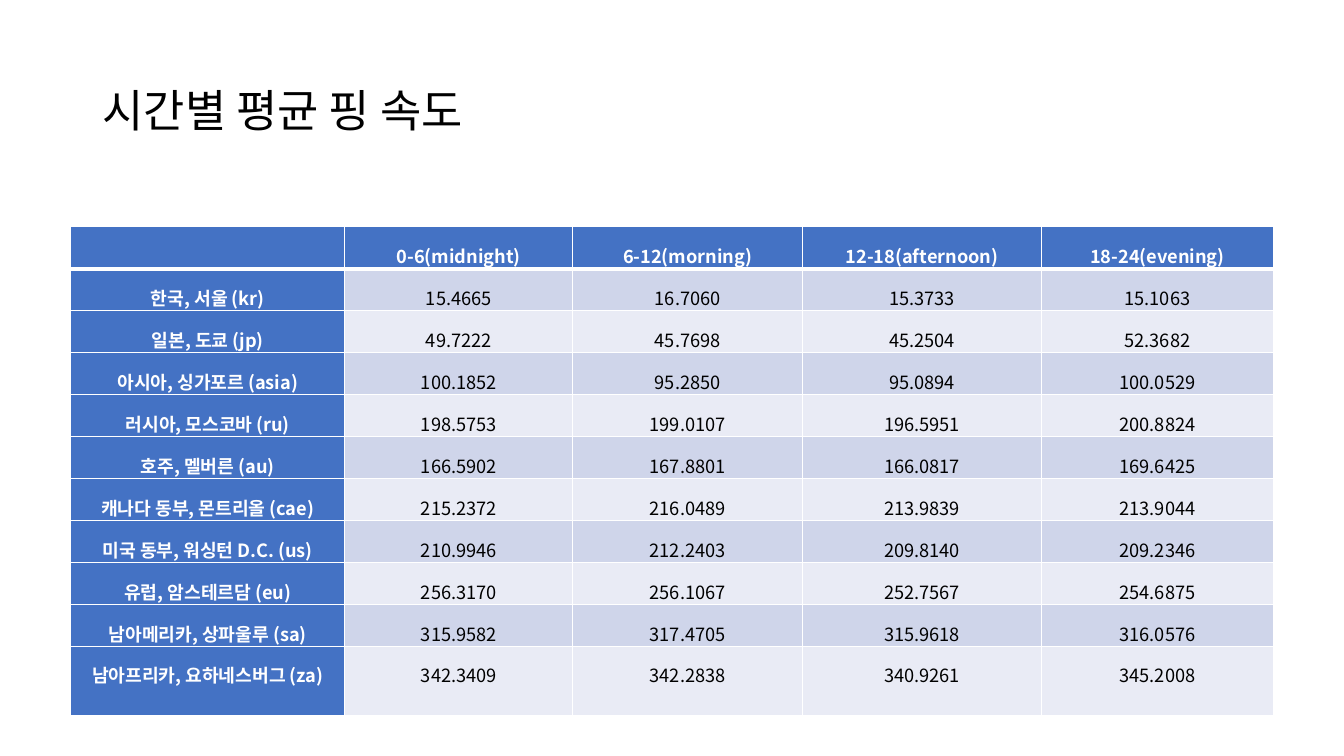
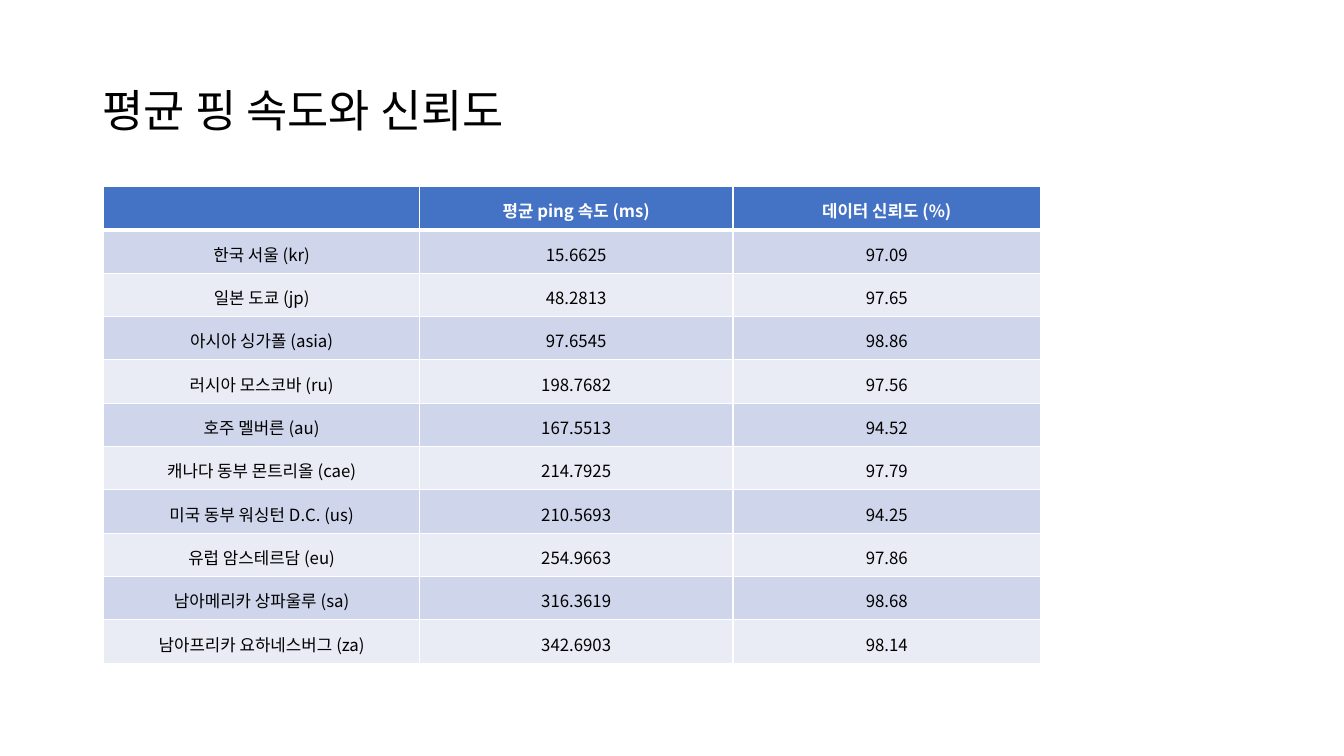
from dataclasses import dataclass
from itertools import chain

from lxml.etree import SubElement
from pptx import Presentation
from pptx.dml.color import RGBColor
from pptx.enum.text import MSO_ANCHOR as Anchor, PP_ALIGN as Align
from pptx.oxml.ns import qn
from pptx.slide import Slide
from pptx.table import _Cell as Cell
from pptx.text.text import TextFrame
from pptx.util import Inches, Pt

COLORS = {
    "text": "000000",
    "white": "FFFFFF",
    "header": "4472C4",
    "odd_row": "CFD5EA",
    "even_row": "E9EBF5",
}
FONT = "Noto Sans CJK KR"


@dataclass(frozen=True)
class TableSlide:
    title: str
    left: float
    top: float
    column_widths: list[float]
    row_heights: list[float]
    rows: list[list[str]]
    size: float
    line_spacing: float
    margins: tuple[float, float]
    label_column: bool


TABLE_SLIDES = [
    TableSlide(
        title="시간별 평균 핑 속도",
        left=0.7,
        top=2.25,
        column_widths=[2.72, 2.26, 2.28, 2.37, 2.3],
        row_heights=[0.35] * 10 + [0.69],
        rows=[
            ["", "0-6(midnight)", "6-12(morning)", "12-18(afternoon)", "18-24(evening)"],
            ["한국, 서울 (kr)", "15.4665", "16.7060", "15.3733", "15.1063"],
            ["일본, 도쿄 (jp)", "49.7222", "45.7698", "45.2504", "52.3682"],
            ["아시아, 싱가포르 (asia)", "100.1852", "95.2850", "95.0894", "100.0529"],
            ["러시아, 모스코바 (ru)", "198.5753", "199.0107", "196.5951", "200.8824"],
            ["호주, 멜버른 (au)", "166.5902", "167.8801", "166.0817", "169.6425"],
            ["캐나다 동부, 몬트리올 (cae)", "215.2372", "216.0489", "213.9839", "213.9044"],
            ["미국 동부, 워싱턴 D.C. (us)", "210.9946", "212.2403", "209.8140", "209.2346"],
            ["유럽, 암스테르담 (eu)", "256.3170", "256.1067", "252.7567", "254.6875"],
            ["남아메리카, 상파울루 (sa)", "315.9582", "317.4705", "315.9618", "316.0576"],
            ["남아프리카, 요하네스버그 (za)", "342.3409", "342.2838", "340.9261", "345.2008"],
        ],
        size=13,
        line_spacing=1.6,
        margins=(0.1, 0),
        label_column=True,
    ),
    TableSlide(
        title="평균 핑 속도와 신뢰도",
        left=1.03,
        top=1.85,
        column_widths=[3.13, 3.11, 3.05],
        row_heights=[0.43] * 11,
        rows=[
            ["", "평균 ping 속도 (ms)", "데이터 신뢰도 (%)"],
            ["한국 서울 (kr)", "15.6625", "97.09"],
            ["일본 도쿄 (jp)", "48.2813", "97.65"],
            ["아시아 싱가폴 (asia)", "97.6545", "98.86"],
            ["러시아 모스코바 (ru)", "198.7682", "97.56"],
            ["호주 멜버른 (au)", "167.5513", "94.52"],
            ["캐나다 동부 몬트리올 (cae)", "214.7925", "97.79"],
            ["미국 동부 워싱턴 D.C. (us)", "210.5693", "94.25"],
            ["유럽 암스테르담 (eu)", "254.9663", "97.86"],
            ["남아메리카 상파울루 (sa)", "316.3619", "98.68"],
            ["남아프리카 요하네스버그 (za)", "342.6903", "98.14"],
        ],
        size=12,
        line_spacing=1.15,
        margins=(0.08, 0.08),
        label_column=False,
    ),
]


def write_text(
    frame: TextFrame,
    text: str,
    *,
    size: float,
    color: str = "text",
    bold: bool = False,
    align: Align = Align.LEFT,
    line_spacing: float = 1.0,
    space: float = 0,
) -> None:
    paragraph = frame.paragraphs[0]
    paragraph.alignment = align
    paragraph.line_spacing = line_spacing
    paragraph.space_before = paragraph.space_after = Pt(space)
    run = paragraph.add_run()
    run.text = text
    run.font.name = FONT
    run.font.size = Pt(size)
    run.font.bold = bold
    run.font.color.rgb = RGBColor.from_string(COLORS[color])
    SubElement(run.font._element, qn("a:ea"), typeface=FONT)


def set_borders(cell: Cell, top: float, bottom: float) -> None:
    properties = cell._tc.get_or_add_tcPr()
    widths = {"a:lnL": 1, "a:lnR": 1, "a:lnT": top, "a:lnB": bottom}
    for position, (tag, width) in enumerate(widths.items()):
        line = SubElement(properties, qn(tag), w=str(Pt(width)))
        fill = SubElement(line, qn("a:solidFill"))
        SubElement(fill, qn("a:srgbClr"), val=COLORS["white"])
        properties.insert(position, line)


def add_title(slide: Slide, text: str) -> None:
    box = slide.shapes.add_textbox(Inches(0.92), Inches(0.4), Inches(11.5), Inches(1.45))
    box.text_frame.word_wrap = True
    box.text_frame.vertical_anchor = Anchor.MIDDLE
    write_text(box.text_frame, text, size=32, line_spacing=0.9)


def format_cell(cell: Cell, content: TableSlide, row: int, column: int) -> None:
    is_label = content.label_column and column == 0
    is_header = row == 0 or is_label
    band = "odd_row" if row % 2 else "even_row"
    cell.fill.solid()
    cell.fill.fore_color.rgb = RGBColor.from_string(COLORS["header" if is_header else band])
    set_borders(cell, top=3 if row == 1 else 1, bottom=3 if row == 0 else 1)
    text = content.rows[row][column]
    if not text:
        return
    horizontal, vertical = content.margins
    cell.margin_left = cell.margin_right = Inches(horizontal)
    cell.margin_top = cell.margin_bottom = Inches(vertical)
    write_text(
        cell.text_frame,
        text,
        size=content.size,
        color="white" if is_header else "text",
        bold=is_header,
        align=Align.CENTER,
        line_spacing=content.line_spacing,
        space=0 if is_label else 12,
    )


def add_data_table(slide: Slide, content: TableSlide) -> None:
    table = slide.shapes.add_table(
        len(content.row_heights),
        len(content.column_widths),
        Inches(content.left),
        Inches(content.top),
        Inches(sum(content.column_widths)),
        Inches(sum(content.row_heights)),
    ).table
    for column, width in zip(table.columns, content.column_widths):
        column.width = Inches(width)
    for row, height in zip(table.rows, content.row_heights):
        row.height = Inches(height)
    positions = chain.from_iterable(
        ((row, column) for column in range(len(texts)))
        for row, texts in enumerate(content.rows)
    )
    for row, column in positions:
        format_cell(table.cell(row, column), content, row, column)


def main() -> None:
    presentation = Presentation()
    presentation.slide_width = Inches(13.33)
    presentation.slide_height = Inches(7.5)
    for content in TABLE_SLIDES:
        slide = presentation.slides.add_slide(presentation.slide_layouts[6])
        add_data_table(slide, content)
        add_title(slide, content.title)
    presentation.save("out.pptx")


if __name__ == "__main__":
    main()
